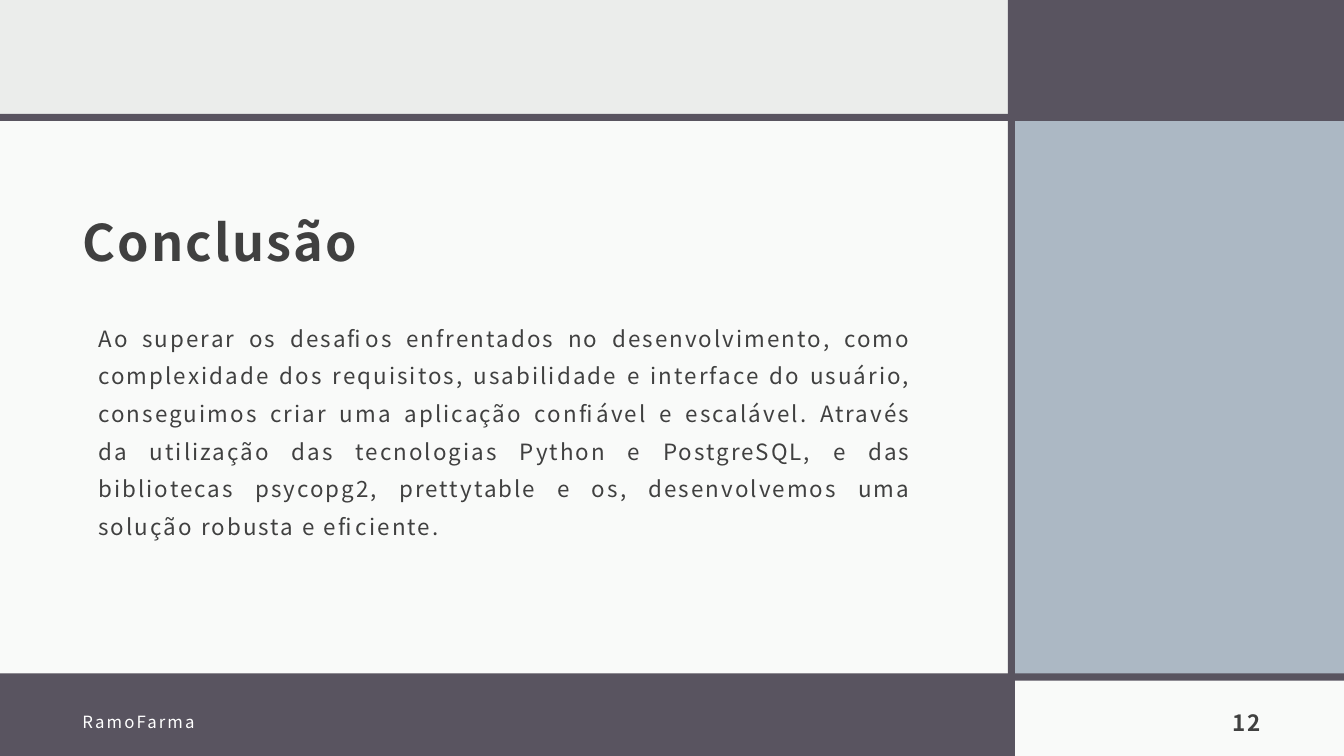
from lxml import etree
from pptx import Presentation
from pptx.dml.color import RGBColor
from pptx.enum.shapes import MSO_SHAPE
from pptx.enum.text import MSO_ANCHOR, PP_ALIGN
from pptx.oxml.ns import qn
from pptx.util import Cm, Pt

RECTANGLE = MSO_SHAPE.RECTANGLE
TOP, MIDDLE, BOTTOM = MSO_ANCHOR.TOP, MSO_ANCHOR.MIDDLE, MSO_ANCHOR.BOTTOM
LEFT, RIGHT, JUSTIFY = PP_ALIGN.LEFT, PP_ALIGN.RIGHT, PP_ALIGN.JUSTIFY

PALE = RGBColor(0xEB, 0xED, 0xEB)
WHITE = RGBColor(0xFF, 0xFF, 0xFF)
PLUM = RGBColor(0x59, 0x54, 0x60)
BLUE = RGBColor(0x97, 0xA7, 0xB8)
INK = RGBColor(0x40, 0x40, 0x40)
FONT = "Noto Sans CJK JP"

WIDTH, HEIGHT = 33.87, 19.05
COLUMN = 25.45  # left edge of the right-hand column
SIDE = WIDTH - COLUMN
BAR = 0.18

deck = Presentation()
deck.slide_width, deck.slide_height = Cm(WIDTH), Cm(HEIGHT)
page = deck.slides.add_slide(deck.slide_layouts[6])
page.background.fill.solid()
page.background.fill.fore_color.rgb = PALE


def add_panel(left, top, width, height, color, opacity=100):
    panel = page.shapes.add_shape(RECTANGLE, Cm(left), Cm(top), Cm(width), Cm(height))
    panel.shadow.inherit = False
    panel.line.fill.background()
    panel.fill.solid()
    panel.fill.fore_color.rgb = color
    if opacity < 100:
        tint = panel.fill._xPr.find(".//" + qn("a:srgbClr"))
        etree.SubElement(tint, qn("a:alpha")).set("val", str(opacity * 1000))


def add_text(text, place, anchor, paragraph_format, font_format, color):
    box = page.shapes.add_textbox(*[Cm(length) for length in place])
    frame = box.text_frame
    frame_format = {
        "word_wrap": True,
        "vertical_anchor": anchor,
        "margin_left": Cm(0.3),
        "margin_top": Cm(0.3),
        "margin_right": Cm(0.3),
        "margin_bottom": Cm(0.25),
    }
    for name, value in frame_format.items():
        setattr(frame, name, value)
    para = frame.paragraphs[0]
    for name, value in paragraph_format.items():
        setattr(para, name, value)
    span = para.add_run()
    span.text = text
    for name, value in {"name": FONT, **font_format}.items():
        setattr(span.font, name, value)
    span.font.color.rgb = color
    span._r.get_or_add_rPr().set("spc", "150")


# Panels
add_panel(0, 2.87, COLUMN, 14.1, WHITE, 75)
add_panel(COLUMN, 0, SIDE, 2.95, PLUM)
add_panel(COLUMN, 17.12, SIDE, 1.93, WHITE, 75)
add_panel(0, 17.07, 25.55, 1.98, PLUM)
add_panel(COLUMN, 2.92, SIDE, 14.2, BLUE, 75)

# Dividing bars
for bar_top in (2.87, 16.97):
    add_panel(0, bar_top, WIDTH, BAR, PLUM)
add_panel(25.4, 0, BAR, HEIGHT, PLUM)

# Texts
add_text("Conclusão", (1.78, 4.09, 21.13, 3.18), MIDDLE,
         {"alignment": LEFT, "line_spacing": 1.5},
         {"size": Pt(36), "bold": True}, INK)
add_text(
    "Ao superar os desafios enfrentados no desenvolvimento, como complexidade "
    "dos requisitos, usabilidade e interface do usuário, conseguimos criar uma "
    "aplicação confiável e escalável. Através da utilização das tecnologias "
    "Python e PostgreSQL, e das bibliotecas psycopg2, prettytable e os, "
    "desenvolvemos uma solução robusta e eficiente.",
    (2.18, 7.62, 21.13, 8.41), TOP,
    {"alignment": JUSTIFY, "line_spacing": 1.4},
    {"size": Pt(16)}, INK)
add_text("RamoFarma", (1.78, 17.53, 21.16, 1.27), MIDDLE,
         {"alignment": LEFT, "space_after": Pt(6)}, {"size": Pt(12)}, WHITE)
add_text("12", (29.36, 17.53, 2.72, 1.27), BOTTOM,
         {"alignment": RIGHT, "space_after": Pt(6)},
         {"size": Pt(16), "bold": True}, INK)

deck.save("out.pptx")
